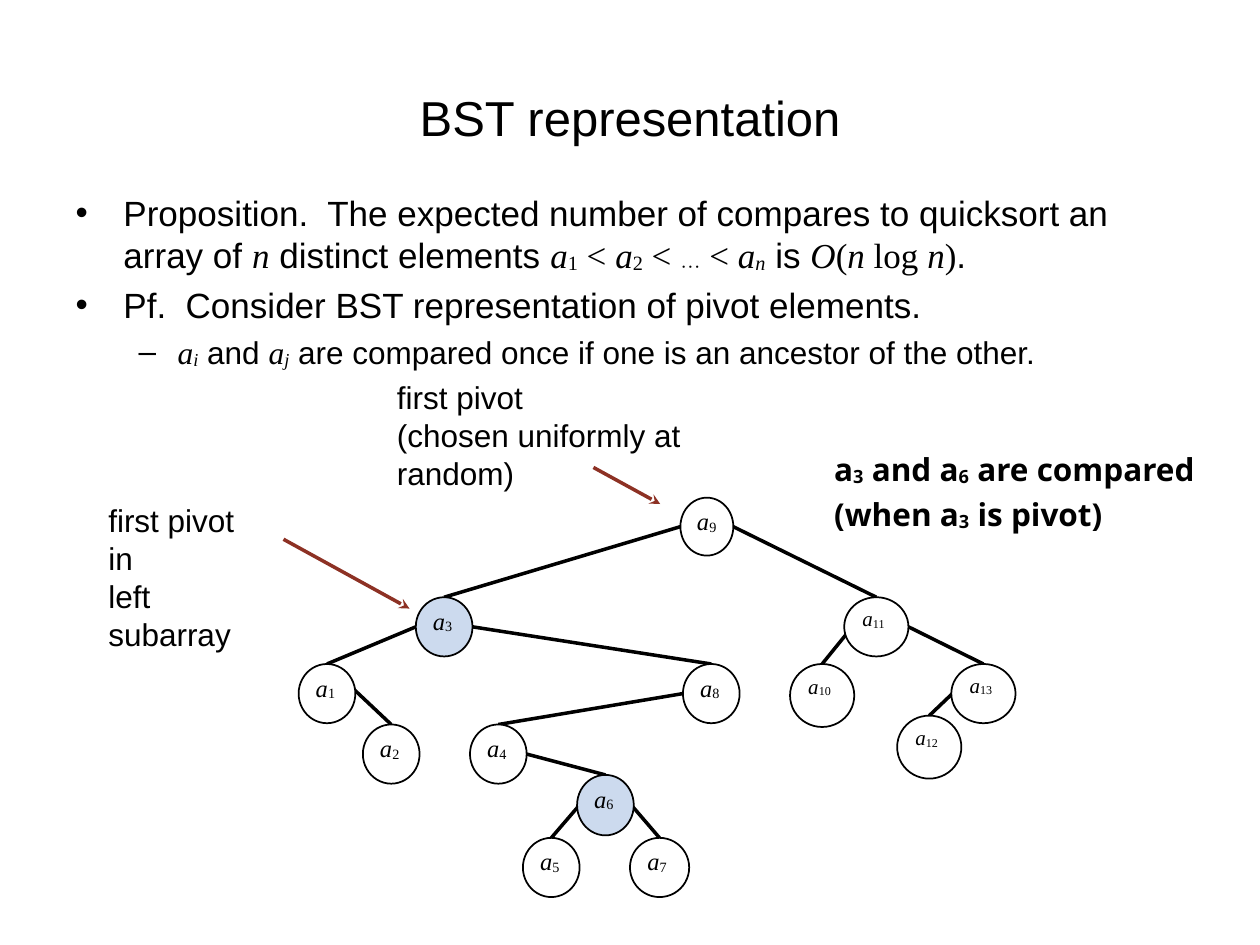
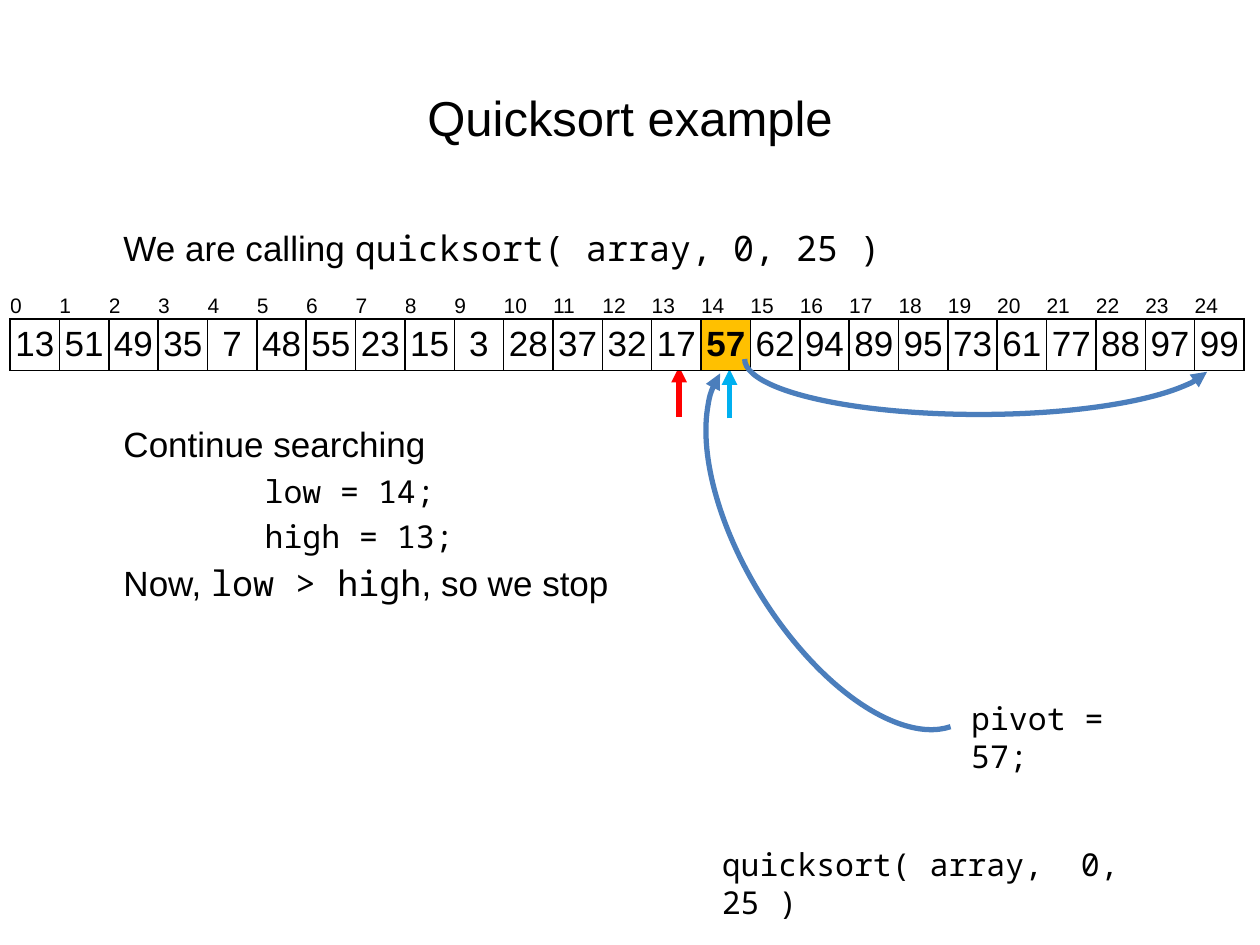
from lxml import etree
from pptx import Presentation
from pptx.dml.color import RGBColor
from pptx.enum.shapes import MSO_CONNECTOR, MSO_SHAPE
from pptx.enum.text import MSO_ANCHOR, MSO_AUTO_SIZE, PP_ALIGN
from pptx.oxml.ns import qn
from pptx.util import Inches, Pt

STRAIGHT = MSO_CONNECTOR.STRAIGHT
ELLIPSE, ARC = MSO_SHAPE.OVAL, MSO_SHAPE.ARC
TOP, MIDDLE = MSO_ANCHOR.TOP, MSO_ANCHOR.MIDDLE
CENTER, LEFT = PP_ALIGN.CENTER, PP_ALIGN.LEFT
NO_FIT = MSO_AUTO_SIZE.NONE
rgb = RGBColor.from_string

BLACK, WHITE = "000000", "FFFFFF"
BROWN, BLUE, CYAN, RED = "8D3124", "4B7EBC", "00B0F0", "FF0000"
COMPARED, PIVOT = "CCDAEE", "FFC000"

# Run styles: font name, italic, bold, baseline shift
STYLES = {
    "text": ("Arial", False, False, None),
    "bold": ("Arial", False, True, None),
    "code": ("Noto Sans Mono", False, False, None),
    "var": ("Times New Roman", True, False, None),
    "varsub": ("Times New Roman", True, False, "-6000"),
    "math": ("Times New Roman", False, False, None),
    "sub": ("Times New Roman", False, False, "-6000"),
    "dots": ("Times New Roman", False, False, "-12000"),
    "note": ("Noto Sans", False, True, None),
    "notesub": ("Noto Sans", False, True, "-6000"),
}


def add_runs(p, size, runs):
    """Add (text, style) runs to a paragraph."""
    for text, style in runs:
        name, italic, bold, baseline = STYLES[style]
        r = p.add_run()
        r.text = text
        r.font.name, r.font.size = name, Pt(size)
        r.font.italic, r.font.bold = italic, bold
        r.font.color.rgb = rgb(BLACK)
        if baseline:
            r._r.get_or_add_rPr().set("baseline", baseline)


def style_line(sp, color, width, end=None, arrow="triangle"):
    """Set the outline, an arrowhead at end (headEnd or tailEnd), and no shadow."""
    sp.line.color.rgb = rgb(color)
    sp.line.width = Pt(width)
    if end:
        etree.SubElement(sp.line._get_or_add_ln(), qn("a:" + end), type=arrow)
    etree.SubElement(sp._element.spPr, qn("a:effectLst"))


prs = Presentation()
prs.slide_width, prs.slide_height = Inches(10), Inches(7.5)

# Titles and body lists: (level, margin, indent, bullet, size, space before, runs)
pages = [
    ("BST representation", 1.47, 5.23, [
        (0, 0.38, -0.38, "•", 20, 0, [
            ("Proposition.  The expected number of compares to quicksort an array of ", "text"),
            ("n", "var"), (" distinct elements ", "text"),
            ("a", "var"), ("1", "sub"), (" < ", "math"),
            ("a", "var"), ("2", "sub"), (" < ", "math"),
            ("⋯", "dots"), (" < ", "math"), ("a", "var"), ("n", "varsub"),
            (" is ", "text"), ("O", "var"), ("(", "math"), ("n", "var"),
            (" log ", "math"), ("n", "var"), (")", "math"), (".", "text")]),
        (0, 0.38, -0.38, "•", 20, 4, [
            ("Pf.  Consider BST representation of pivot elements.", "text")]),
        (1, 0.81, -0.31, "–", 18, 4, [
            ("a", "var"), ("i", "varsub"), (" and ", "text"),
            ("a", "var"), ("j", "varsub"),
            (" are compared once if one is an ancestor of the other.", "text")]),
    ]),
    ("Quicksort example", 1.75, 4.95, [
        (0, 0.38, 0, None, 20, 0, [
            ("We are calling ", "text"), ("quicksort( array, 0, 25 )", "code")]),
        (0, 0.38, 0, None, 20, 88, [("Continue searching", "text")]),
        (1, 1.5, 0, None, 18, 4, [("low = 14;", "code")]),
        (1, 1.5, 0, None, 18, 4, [("high = 13;", "code")]),
        (0, 0.38, 0, None, 20, 4, [
            ("Now, ", "text"), ("low > high", "code"), (", so we stop", "text")]),
    ]),
]
slides = []
for title, body_top, body_height, paragraphs in pages:
    s = prs.slides.add_slide(prs.slide_layouts[1])
    slides.append(s)
    sp, body = s.placeholders
    sp.left, sp.top, sp.width, sp.height = [Inches(v) for v in (0.5, 0.3, 9, 1.25)]
    sp.text_frame.vertical_anchor = MIDDLE
    sp.text_frame.auto_size = NO_FIT
    p = sp.text_frame.paragraphs[0]
    p.alignment = CENTER
    add_runs(p, 28, [(title, "text")])

    body.left, body.top, body.width, body.height = [
        Inches(v) for v in (0.5, body_top, 9, body_height)]
    tf = body.text_frame
    tf.auto_size = NO_FIT
    for i, (level, margin, indent, bullet, size, before, runs) in enumerate(paragraphs):
        p = tf.add_paragraph() if i else tf.paragraphs[0]
        p.level = level
        p.space_before = Pt(before)
        pPr = p._p.get_or_add_pPr()
        pPr.set("marL", str(Inches(margin)))
        pPr.set("indent", str(Inches(indent)))
        if bullet:
            etree.SubElement(pPr, qn("a:buFont"), typeface="Arial")
            etree.SubElement(pPr, qn("a:buChar"), char=bullet)
        else:
            etree.SubElement(pPr, qn("a:buNone"))
        add_runs(p, size, runs)
bst, example = slides

# Free text: slide, box, insets, line spacing, paragraphs
labels = [
    (bst, (6.62, 3.51, 3.3, 0.65), (0, 0), 1.2, [
        [("a", "note"), ("3", "notesub"), (" and a", "note"), ("6", "notesub"),
         (" are compared", "note")],
        [("(when a", "note"), ("3", "notesub"), (" is pivot)", "note")]]),
    (bst, (3.15, 3, 3.21, 0.61), (0, 0), 1, [
        [("first pivot", "text")], [("(chosen uniformly at random)", "text")]]),
    (bst, (0.86, 3.98, 1.24, 0.61), (0, 0), 1, [
        [("first pivot in", "text")], [("left subarray", "text")]]),
    (example, (5.63, 6.66, 4.02, 0.4), (0.1, 0.05), 1, [
        [("quicksort( array,  0, 25 )", "code")]]),
    (example, (7.61, 5.5, 1.73, 0.4), (0.1, 0.05), 1, [[("pivot = 57;", "code")]]),
]
for s, box, (inset_x, inset_y), spacing, paragraphs in labels:
    tf = s.shapes.add_textbox(*[Inches(v) for v in box]).text_frame
    tf.word_wrap = True
    tf.margin_left = tf.margin_right = Inches(inset_x)
    tf.margin_top = tf.margin_bottom = Inches(inset_y)
    for i, runs in enumerate(paragraphs):
        p = tf.add_paragraph() if i else tf.paragraphs[0]
        p.line_spacing = spacing
        add_runs(p, 18, runs)

# Straight arrows
arrows = [
    (bst, (2.25, 4.28, 3.25, 4.83), BROWN, 2, "stealth"),
    (bst, (4.71, 3.71, 5.24, 4), BROWN, 2, "stealth"),
    (example, (5.79, 3.32, 5.79, 2.93), CYAN, 3, "triangle"),
    (example, (5.39, 3.31, 5.39, 2.91), RED, 3, "triangle"),
]
for s, ends, color, width, arrow in arrows:
    line = s.shapes.add_connector(STRAIGHT, *[Inches(v) for v in ends])
    style_line(line, color, width, "tailEnd", arrow)

# Search tree: key -> left, top, width, height
nodes = {
    9: (5.4, 3.95, 0.42, 0.46),
    3: (3.3, 4.74, 0.45, 0.47), 11: (6.7, 4.74, 0.51, 0.47),
    1: (2.37, 5.27, 0.45, 0.47), 8: (5.42, 5.27, 0.45, 0.47),
    10: (6.27, 5.27, 0.51, 0.5), 13: (7.55, 5.27, 0.51, 0.47),
    2: (2.88, 5.75, 0.45, 0.47), 4: (3.73, 5.75, 0.45, 0.47),
    12: (7.12, 5.68, 0.51, 0.5), 6: (4.58, 6.15, 0.45, 0.48),
    5: (4.15, 6.65, 0.45, 0.47), 7: (5, 6.65, 0.47, 0.47),
}
# Where an edge leaves its parent, as fractions of the parent's width and height
SIDES = {"left": (0, 0.5), "right": (1, 0.5), "top": (0.5, 0)}
edges = [
    (9, "left", 3), (9, "right", 11), (3, "left", 1), (3, "right", 8),
    (11, "top", 10), (11, "right", 13), (1, "top", 2), (8, "left", 4),
    (13, "top", 12), (4, "right", 6), (6, "top", 5), (6, "top", 7),
]
for parent, side, child in edges:
    x, y, w, h = nodes[parent]
    fx, fy = SIDES[side]
    child_x, child_y, child_w, _ = nodes[child]
    ends = (x + fx * w, y + fy * h, child_x + child_w / 2, child_y)
    line = bst.shapes.add_connector(STRAIGHT, *[Inches(v) for v in ends])
    style_line(line, BLACK, 2)
for key, box in nodes.items():
    sp = bst.shapes.add_shape(ELLIPSE, *[Inches(v) for v in box])
    sp.fill.solid()
    sp.fill.fore_color.rgb = rgb(COMPARED if key in (3, 6) else WHITE)
    style_line(sp, BLACK, 1)
    tf = sp.text_frame
    tf.margin_left = tf.margin_right = tf.margin_top = tf.margin_bottom = 0
    tf.vertical_anchor = TOP
    p = tf.paragraphs[0]
    p.alignment = LEFT
    p._p.get_or_add_pPr().set("marL", str(Inches(0.07)))
    add_runs(p, 14 if key < 10 else 12, [("a", "var"), (str(key), "sub")])

# Array with its indices
array = [13, 51, 49, 35, 7, 48, 55, 23, 15, 3, 28, 37, 32,
         17, 57, 62, 94, 89, 95, 73, 61, 77, 88, 97, 99]
table = example.shapes.add_table(
    2, len(array), Inches(0.08), Inches(2.33), Inches(9.8), Inches(0.61)).table
table.first_row = table.horz_banding = False
table.rows[0].height, table.rows[1].height = Inches(0.2), Inches(0.41)
for col, value in enumerate(array):
    table.columns[col].width = Inches(9.8 / len(array))
    for row, number in enumerate((col, value)):
        cell = table.cell(row, col)
        cell.margin_left = cell.margin_right = cell.margin_top = cell.margin_bottom = 0
        cell.vertical_anchor = MIDDLE
        p = cell.text_frame.paragraphs[0]
        if row == 0:
            cell.fill.background()
            add_runs(p, 12, [(str(number), "text")])
            continue
        tcPr = cell._tc.get_or_add_tcPr()
        for edge in ("lnL", "lnR", "lnT", "lnB"):
            ln = etree.SubElement(tcPr, qn("a:" + edge), w=str(Pt(1)))
            fill = etree.SubElement(ln, qn("a:solidFill"))
            etree.SubElement(fill, qn("a:srgbClr"), val=BLACK)
        cell.fill.solid()
        cell.fill.fore_color.rgb = rgb(PIVOT if number == 57 else WHITE)
        p.alignment = CENTER
        add_runs(p, 20, [(str(number), "bold" if number == 57 else "text")])

# Curved arrows: box, rotation, angles, arrow end
arcs = [
    ((5.91, 2.41, 3.72, 0.88), 0, (109.92, 0), "headEnd"),
    ((5.04, 3.45, 3.4, 1.66), 58.4, (109.92, 212.2), "tailEnd"),
]
for box, rotation, angles, end in arcs:
    sp = example.shapes.add_shape(ARC, *[Inches(v) for v in box])
    sp.rotation = rotation
    sp.adjustments[0], sp.adjustments[1] = angles
    sp._element.spPr.xfrm.set("flipH", "1")
    sp._element.spPr.xfrm.set("flipV", "1")
    sp.fill.background()
    style_line(sp, BLUE, 3, end)

prs.save("out.pptx")
